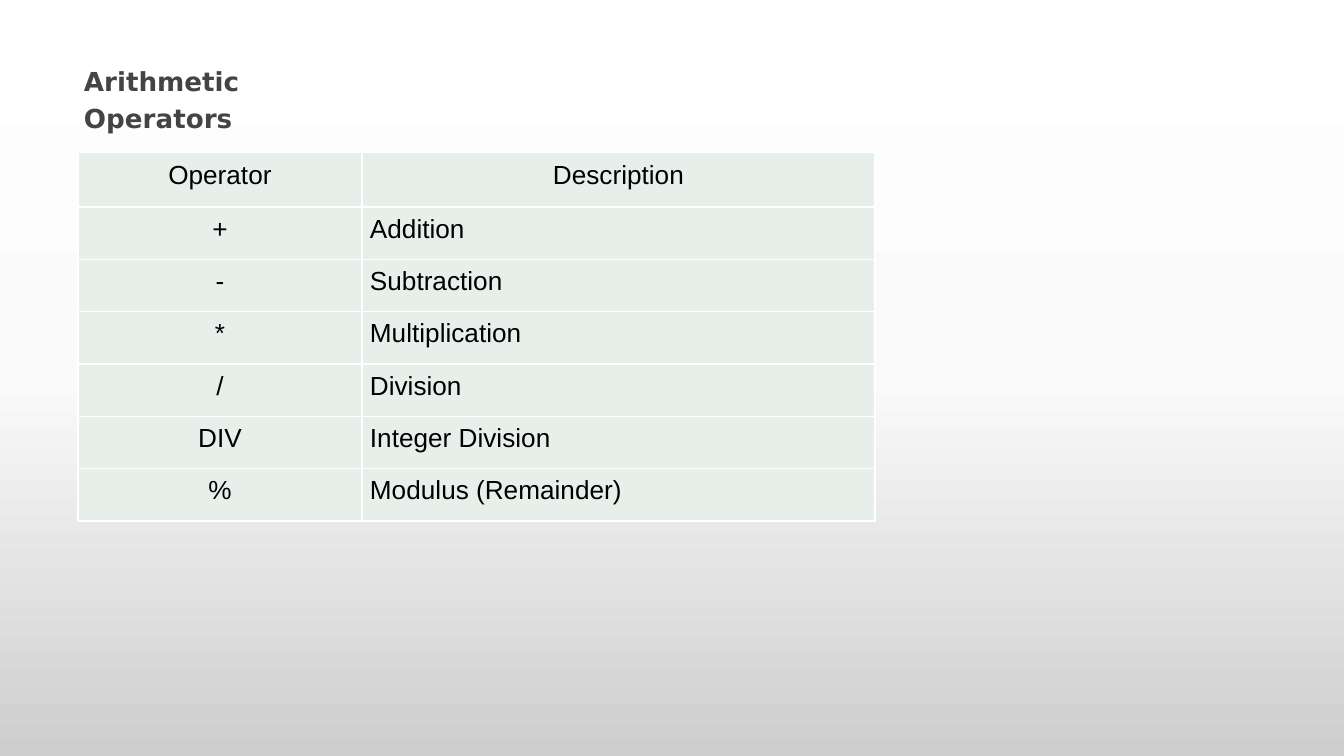
import copy

import pptx
import pptx.dml.color
import pptx.enum.text
import pptx.oxml
import pptx.oxml.ns
import pptx.util

RGBColor = pptx.dml.color.RGBColor
ALIGN = pptx.enum.text.PP_ALIGN

TITLE_COLOR = RGBColor(0x44, 0x44, 0x44)
TEXT_COLOR = RGBColor(0, 0, 0)
CELL_FILL = RGBColor(0xE7, 0xEF, 0xEB)
BORDER_COLOR = RGBColor(0xFF, 0xFF, 0xFF)
BACKGROUND_STOPS = [
    (0, RGBColor(0xFF, 0xFF, 0xFF)),
    (0.5, RGBColor(0xFA, 0xFA, 0xFA)),
    (1, RGBColor(0xCE, 0xCE, 0xCE)),
]

OPERATORS = [
    ("Operator", "Description"),
    ("+", "Addition"),
    ("-", "Subtraction"),
    ("*", "Multiplication"),
    ("/", "Division"),
    ("DIV", "Integer Division"),
    ("%", "Modulus (Remainder)"),
]
COLUMN_WIDTHS = [284, 513]
HEADER_HEIGHT = 55
BODY_HEIGHT = 314


def px(length):
    return pptx.util.Emu(round(length * 914400 / 134.4))


def set_values(target, values):
    for name, value in values.items():
        setattr(target, name, value)


def set_margins(target, across, down):
    set_values(target, {
        "margin_left": px(across), "margin_right": px(across),
        "margin_top": px(down), "margin_bottom": px(down),
    })


def write_text(frame, text, font, color, spacing, align=ALIGN.LEFT, bold=False):
    para = frame.paragraphs[0]
    set_values(para, {"alignment": align, "line_spacing": spacing})
    span = para.add_run()
    span.text = text
    set_values(span.font, {"name": font, "size": pptx.util.Pt(14), "bold": bold})
    span.font.color.rgb = color


def paint_background(page):
    fill = page.background.fill
    fill.gradient()
    fill.gradient_angle = 270
    stop_list = page.element.find(".//" + pptx.oxml.ns.qn("a:gsLst"))
    stop_list.append(copy.deepcopy(stop_list[0]))
    for stop, (position, color) in zip(fill.gradient_stops, BACKGROUND_STOPS):
        stop.position = position
        stop.color.rgb = color


def add_title(page, text):
    box = page.shapes.add_textbox(px(74), px(54), px(323), px(43))
    box.text_frame.word_wrap = True
    set_margins(box.text_frame, 10, 5)
    write_text(box.text_frame, text, "DejaVu Sans", TITLE_COLOR, 1.2, bold=True)


def add_borders(cell):
    properties = cell._tc.get_or_add_tcPr()
    for index, side in enumerate(("lnL", "lnR", "lnT", "lnB")):
        properties.insert(index, pptx.oxml.parse_xml(
            f'<a:{side} {pptx.oxml.ns.nsdecls("a")} w="{pptx.util.Pt(1)}">'
            f'<a:solidFill><a:srgbClr val="{BORDER_COLOR}"/></a:solidFill></a:{side}>'))


def add_operator_table(page):
    table = page.shapes.add_table(
        len(OPERATORS), len(COLUMN_WIDTHS), px(78), px(152),
        px(sum(COLUMN_WIDTHS)), px(HEADER_HEIGHT + BODY_HEIGHT)).table
    set_values(table, {"first_row": False, "horz_banding": False})
    for column, width in zip(table.columns, COLUMN_WIDTHS):
        column.width = px(width)

    body_rows = len(OPERATORS) - 1
    for row_index, texts in enumerate(OPERATORS):
        header = row_index == 0
        table.rows[row_index].height = px(HEADER_HEIGHT if header else BODY_HEIGHT / body_rows)
        for column_index, text in enumerate(texts):
            cell = table.cell(row_index, column_index)
            set_margins(cell, *((11, 4) if header else (8, 3)))
            cell.fill.solid()
            cell.fill.fore_color.rgb = CELL_FILL
            add_borders(cell)
            centred = header or column_index == 0
            write_text(cell.text_frame, text, "Arial", TEXT_COLOR, 1.15,
                       ALIGN.CENTER if centred else ALIGN.LEFT)


def main():
    deck = pptx.Presentation()
    set_values(deck, {"slide_width": px(1344), "slide_height": px(756)})
    page = deck.slides.add_slide(deck.slide_layouts[6])

    # Background, heading and table
    paint_background(page)
    add_title(page, "Arithmetic Operators")
    add_operator_table(page)

    deck.save("out.pptx")


main()
